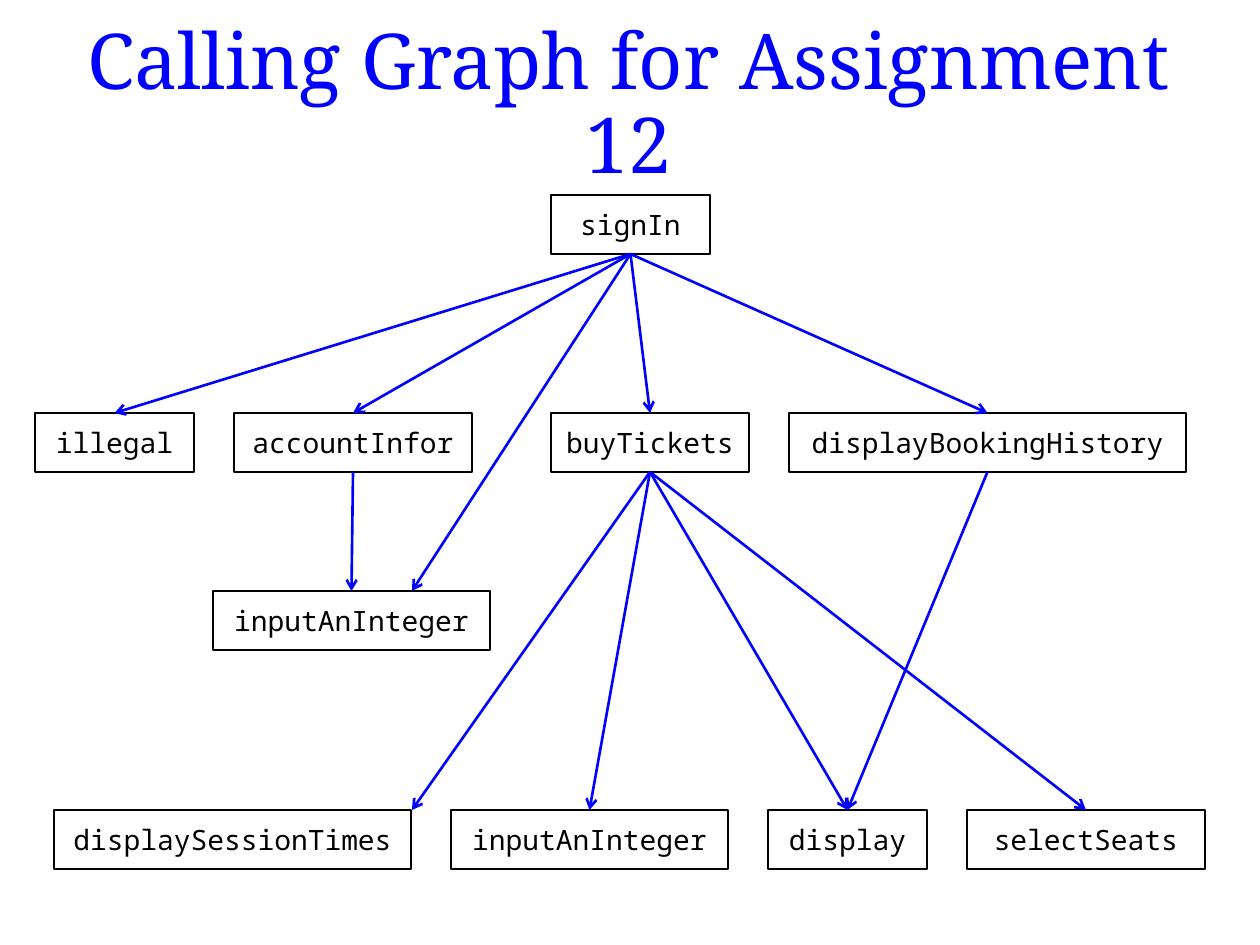
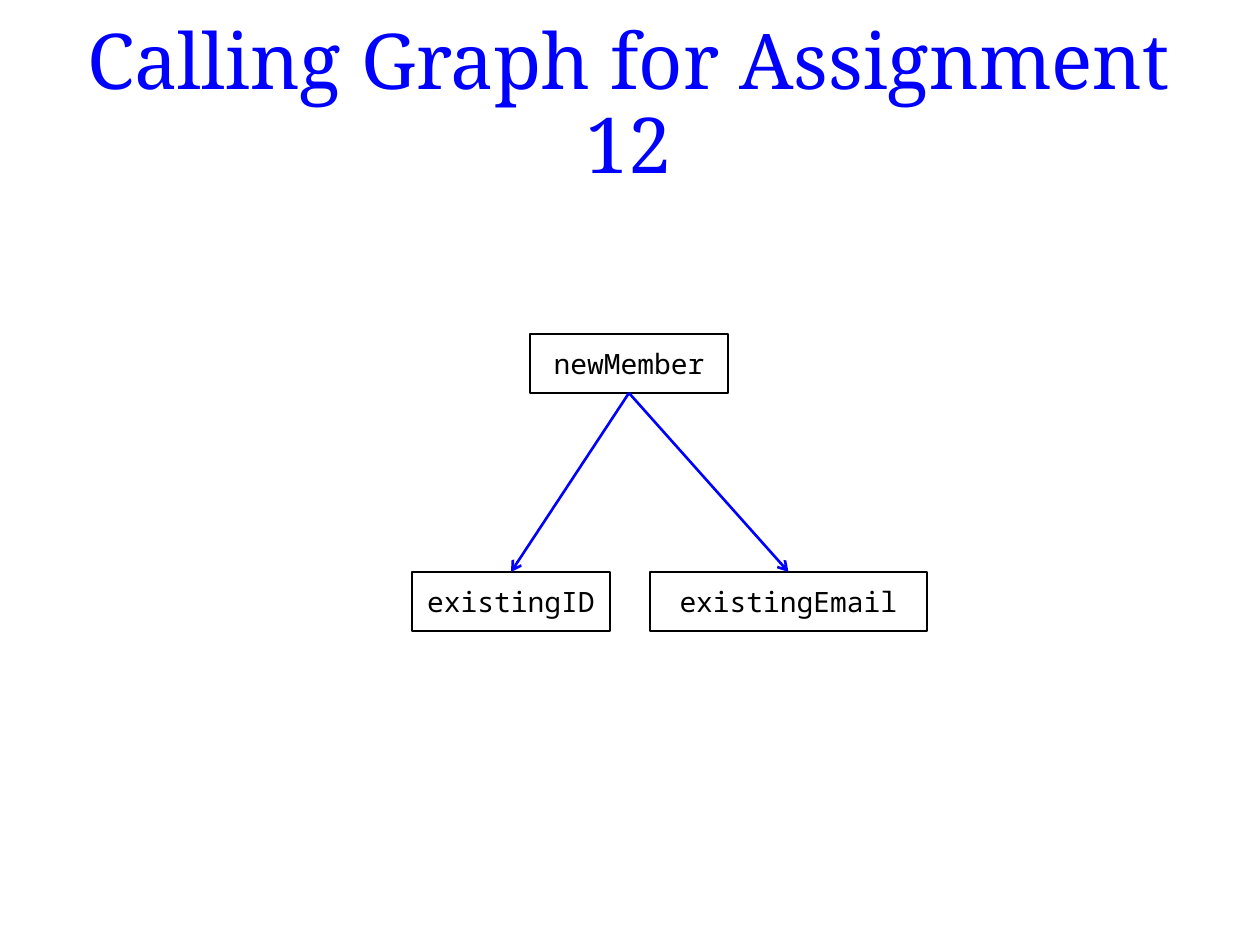
from dataclasses import dataclass

from lxml.etree import SubElement
from pptx import Presentation
from pptx.dml.color import RGBColor as Rgb
from pptx.enum.shapes import MSO_CONNECTOR as Link, MSO_SHAPE as Shape
from pptx.enum.text import MSO_ANCHOR as Anchor, PP_ALIGN as Align
from pptx.oxml.ns import qn
from pptx.util import Emu, Pt

TOP, BOTTOM = 0, 2
TITLE_ONLY = 5
HEAD = "Calling Graph for Assignment 12"


@dataclass(frozen=True)
class Theme:
    blue: Rgb = Rgb(0, 0, 255)
    black: Rgb = Rgb(0, 0, 0)
    white: Rgb = Rgb(255, 255, 255)
    serif: str = "Noto Serif"
    mono: str = "Noto Sans Mono"
    head: int = 44
    label: int = 16
    line: float = 1.5
    high: int = 59
    gap: int = 40


def px(num):
    """Turn pixels, 126 to the inch, into EMU."""
    return Emu(round(num * 914400 / 126))


class Graph:
    def __init__(self, deck, theme):
        self.deck, self.theme, self.slide = deck, theme, None

    def start(self, text):
        """Add a slide with its title."""
        layout = self.deck.slide_layouts[TITLE_ONLY]
        self.slide = self.deck.slides.add_slide(layout)
        self.slide.background.fill.solid()
        self.slide.background.fill.fore_color.rgb = self.theme.white
        title = self.slide.shapes.title
        title.left, title.top, title.width, title.height = map(px, (54, 37, 1150, 139))
        title.text_frame.word_wrap = True
        self.label(title, text, self.theme.serif, self.theme.head, self.theme.blue)
        title.text_frame.paragraphs[0].line_spacing = 0.9

    def label(self, shape, text, face, size, color):
        frame = shape.text_frame
        frame.text = text
        frame.vertical_anchor = Anchor.MIDDLE
        para = frame.paragraphs[0]
        para.alignment = Align.CENTER
        para.font.name, para.font.size = face, Pt(size)
        para.font.color.rgb = color

    def box(self, left, top, width, text):
        look = self.theme
        shape = self.slide.shapes.add_shape(
            Shape.RECTANGLE, px(left), px(top), px(width), px(look.high))
        shape.shadow.inherit = False
        shape.fill.solid()
        shape.fill.fore_color.rgb = look.white
        shape.line.color.rgb = look.black
        shape.line.width = Pt(look.line)
        shape.text_frame.word_wrap = False
        self.label(shape, text, look.mono, look.label, look.black)
        return shape

    def row(self, left, top, *items):
        """Set (text, width) boxes side by side, one gap apart."""
        boxes = []
        for text, width in items:
            boxes.append(self.box(left, top, width, text))
            left += width + self.theme.gap
        return boxes

    def call(self, source, *goals):
        """Draw arrows from a box to other boxes or to (x, y) points."""
        for goal in goals:
            free = isinstance(goal, tuple)
            x, y = map(px, goal) if free else (goal.left, goal.top)
            arrow = self.slide.shapes.add_connector(
                Link.STRAIGHT, source.left, source.top, x, y)
            arrow.begin_connect(source, BOTTOM)
            if not free:
                arrow.end_connect(goal, TOP)
            arrow.line.color.rgb = self.theme.blue
            arrow.line.width = Pt(self.theme.line)
            props = arrow._element.spPr
            SubElement(props.get_or_add_ln(), qn("a:tailEnd"), type="arrow")
            SubElement(props, qn("a:effectLst"))


def sign_in(graph):
    graph.start(HEAD)
    root = graph.box(551, 195, 159, "signIn")
    illegal, account = graph.row(35, 413, ("illegal", 159), ("accountInfor", 238))
    buy, history = graph.row(
        551, 413, ("buyTickets", 198), ("displayBookingHistory", 397))
    entry = graph.box(213, 591, 277, "inputAnInteger")
    _, number, display, seats = graph.row(
        54, 810, ("displaySessionTimes", 357), ("inputAnInteger", 277),
        ("display", 159), ("selectSeats", 238))
    graph.call(root, illegal, account, (412, 591), buy, history)
    graph.call(account, entry)
    graph.call(buy, (412, 810), number, display, seats)
    graph.call(history, display)


def new_member(graph):
    graph.start(HEAD)
    root = graph.box(530, 334, 198, "newMember")
    leaves = graph.row(412, 572, ("existingID", 198), ("existingEmail", 277))
    graph.call(root, *leaves)


def main():
    deck = Presentation()
    deck.slide_width, deck.slide_height = px(1260), px(945)
    graph = Graph(deck, Theme())
    sign_in(graph)
    new_member(graph)
    deck.save("out.pptx")


if __name__ == "__main__":
    main()
